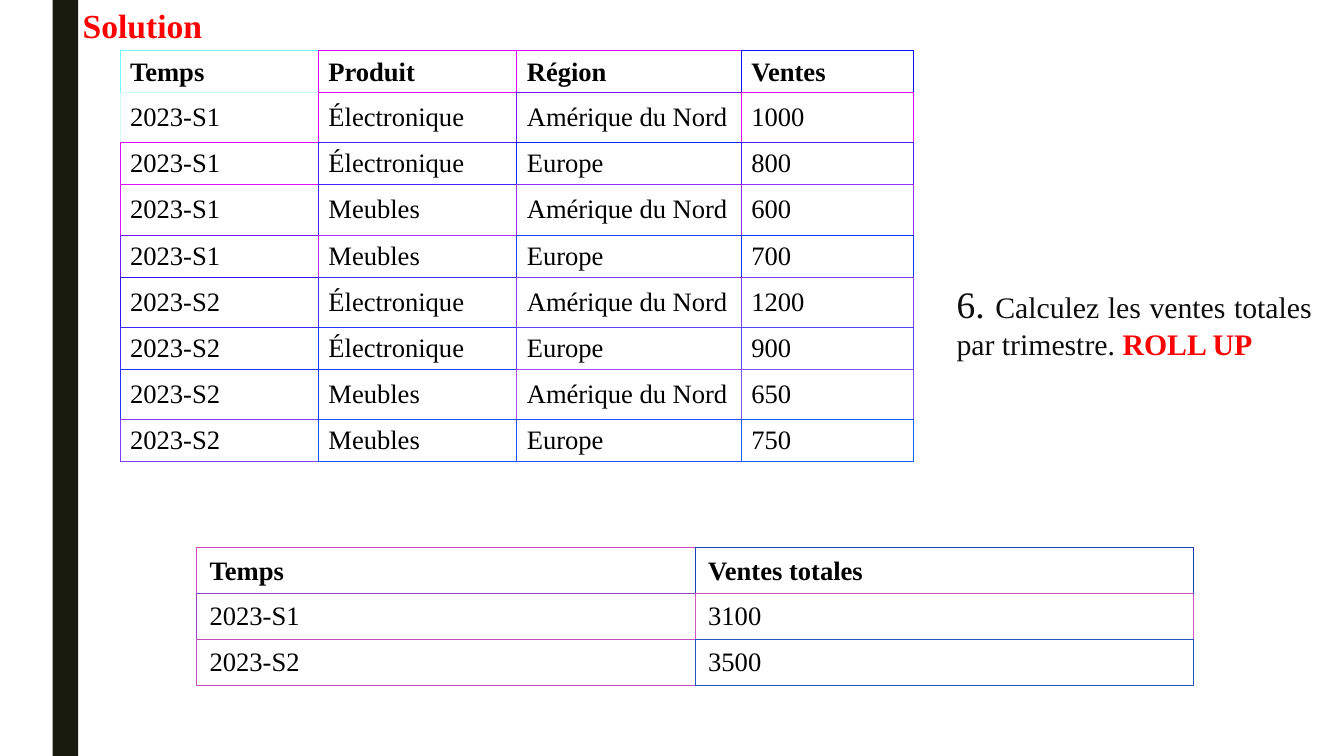
from dataclasses import dataclass
from typing import Any

from lxml.etree import SubElement
from pptx import Presentation
from pptx.dml.color import RGBColor
from pptx.enum.shapes import MSO_SHAPE
from pptx.enum.text import MSO_ANCHOR, MSO_AUTO_SIZE, PP_ALIGN
from pptx.oxml.ns import qn
from pptx.util import Inches, Pt

COLORS = {"bar": "191B0E", "accent": "FF0000", "cell": "000000", "body": "0D0D0D", "white": "FFFFFF"}

SALES = [
    ("Temps", "Produit", "Région", "Ventes"),
    ("2023-S1", "Électronique", "Amérique du Nord", "1000"),
    ("2023-S1", "Électronique", "Europe", "800"),
    ("2023-S1", "Meubles", "Amérique du Nord", "600"),
    ("2023-S1", "Meubles", "Europe", "700"),
    ("2023-S2", "Électronique", "Amérique du Nord", "1200"),
    ("2023-S2", "Électronique", "Europe", "900"),
    ("2023-S2", "Meubles", "Amérique du Nord", "650"),
    ("2023-S2", "Meubles", "Europe", "750"),
]
TOTALS = [("Temps", "Ventes totales"), ("2023-S1", "3100"), ("2023-S2", "3500")]

BORDERS = {
    "sales": [
        ("70FAF9", "E005FA", "E005FA", "100FFA"),
        ("D0FAF9", "E008FA", "7015FA", "E011FA"),
        ("E008FA", "4021FA", "1024FA", "501DFA"),
        ("E011FA", "4021FA", "902EFA", "9031FA"),
        ("7015FA", "B02FFA", "2038FA", "1039FA"),
        ("3016FA", "4033FA", "803EFA", "8041FA"),
        ("4027FA", "2038FA", "6043FA", "5047FA"),
        ("2032FA", "2041FA", "A04EFA", "8056FA"),
        ("803EFA", "1054FA", "2050FA", "1060FA"),
    ],
    "totals": [("D048BE", "2041BE"), ("9043BE", "D054BE"), ("C04CBE", "2059BE")],
}


@dataclass
class SlideBuilder:
    presentation: Any
    slide: Any
    font_name: str = "Times New Roman"
    cell_size: float = 19
    outer_width: float = 0.75
    inner_width: float = 1

    def box(self, left, top, width, height):
        slide_width, slide_height = self.presentation.slide_width, self.presentation.slide_height
        return (int(slide_width * left / 100), int(slide_height * top / 100),
                int(slide_width * width / 100), int(slide_height * height / 100))

    def style(self, font, size, color, bold=False):
        font.name = self.font_name
        font.size = Pt(size)
        font.bold = bold
        font.color.rgb = RGBColor.from_string(COLORS[color])

    def bar(self, area):
        shape = self.slide.shapes.add_shape(MSO_SHAPE.RECTANGLE, *self.box(*area))
        shape.shadow.inherit = False
        shape.fill.solid()
        shape.fill.fore_color.rgb = RGBColor.from_string(COLORS["bar"])
        shape.line.fill.background()

    def title(self, area, text):
        shape = self.slide.shapes.title
        shape.left, shape.top, shape.width, shape.height = self.box(*area)
        frame = shape.text_frame
        frame.text = text
        frame.word_wrap = False
        frame.auto_size = MSO_AUTO_SIZE.SHAPE_TO_FIT_TEXT
        frame.vertical_anchor = MSO_ANCHOR.TOP
        paragraph = frame.paragraphs[0]
        paragraph.alignment = PP_ALIGN.LEFT
        self.style(paragraph.font, 24, "accent", True)

    def text(self, area, runs):
        frame = self.slide.shapes.add_textbox(*self.box(*area)).text_frame
        frame.word_wrap = True
        frame.auto_size = MSO_AUTO_SIZE.SHAPE_TO_FIT_TEXT
        paragraph = frame.paragraphs[0]
        paragraph.alignment = PP_ALIGN.JUSTIFY
        for text, *style in runs:
            run = paragraph.add_run()
            run.text = text
            self.style(run.font, *style)

    def border(self, cell, side, color, width):
        line = SubElement(cell._tc.get_or_add_tcPr(), qn(f"a:ln{side}"), w=str(Pt(width)))
        SubElement(SubElement(line, qn("a:solidFill")), qn("a:srgbClr"), val=color)

    def table(self, area, rows, column_weights, row_weights, borders, margins, fill=None):
        left, top, width, height = self.box(*area)
        last_row, last_column = len(rows) - 1, len(rows[0]) - 1
        table = self.slide.shapes.add_table(
            len(rows), len(rows[0]), left, top, width, height).table
        table.first_row = table.horz_banding = False
        for column, weight in zip(table.columns, column_weights):
            column.width = int(width * weight / sum(column_weights))
        for row, weight in zip(table.rows, row_weights):
            row.height = int(height * weight / sum(row_weights))
        for r, values in enumerate(rows):
            for c, value in enumerate(values):
                cell = table.cell(r, c)
                cell.text = value
                cell.margin_left = cell.margin_right = Inches(margins[0])
                cell.margin_top = cell.margin_bottom = Inches(margins[1])
                cell.vertical_anchor = MSO_ANCHOR.MIDDLE if r else MSO_ANCHOR.BOTTOM
                self.style(cell.text_frame.paragraphs[0].font, self.cell_size, "cell", r == 0)
                own = borders[r][c]
                self.border(cell, "L", own, self.outer_width)
                self.border(cell, "R", borders[r][min(c + 1, last_column)], self.outer_width)
                self.border(cell, "T", own, self.inner_width if r else self.outer_width)
                self.border(cell, "B", borders[min(r + 1, last_row)][c],
                            self.inner_width if r < last_row else self.outer_width)
                if fill:
                    cell.fill.solid()
                    cell.fill.fore_color.rgb = RGBColor.from_string(COLORS[fill])
                else:
                    cell.fill.background()


def main():
    presentation = Presentation()
    presentation.slide_width, presentation.slide_height = Inches(13.33), Inches(7.5)
    slide = presentation.slides.add_slide(presentation.slide_layouts[5])
    builder = SlideBuilder(presentation, slide)
    builder.bar((3.92, 0, 1.9, 100))
    builder.title((5.4, 0, 11.1, 6.67), "Solution")
    builder.table((8.93, 6.67, 59.04, 54.4), SALES, (1.97, 1.97, 2.23, 1.71),
                  (5, 6, 5, 6, 5, 6, 5, 6, 5), BORDERS["sales"], (0.1, 0.05))
    builder.text((70.44, 36.53, 27.91, 12.13), [
        ("6. ", 26.7, "body"),
        ("Calculez les ventes totales par trimestre.", 21.3, "body"),
        (" ROLL UP", 21.3, "accent", True),
    ])
    builder.table((14.63, 72.4, 74.19, 18), TOTALS, (1, 1), (1, 1, 1),
                  BORDERS["totals"], (0.13, 0.07), "white")
    presentation.save("out.pptx")


if __name__ == "__main__":
    main()
